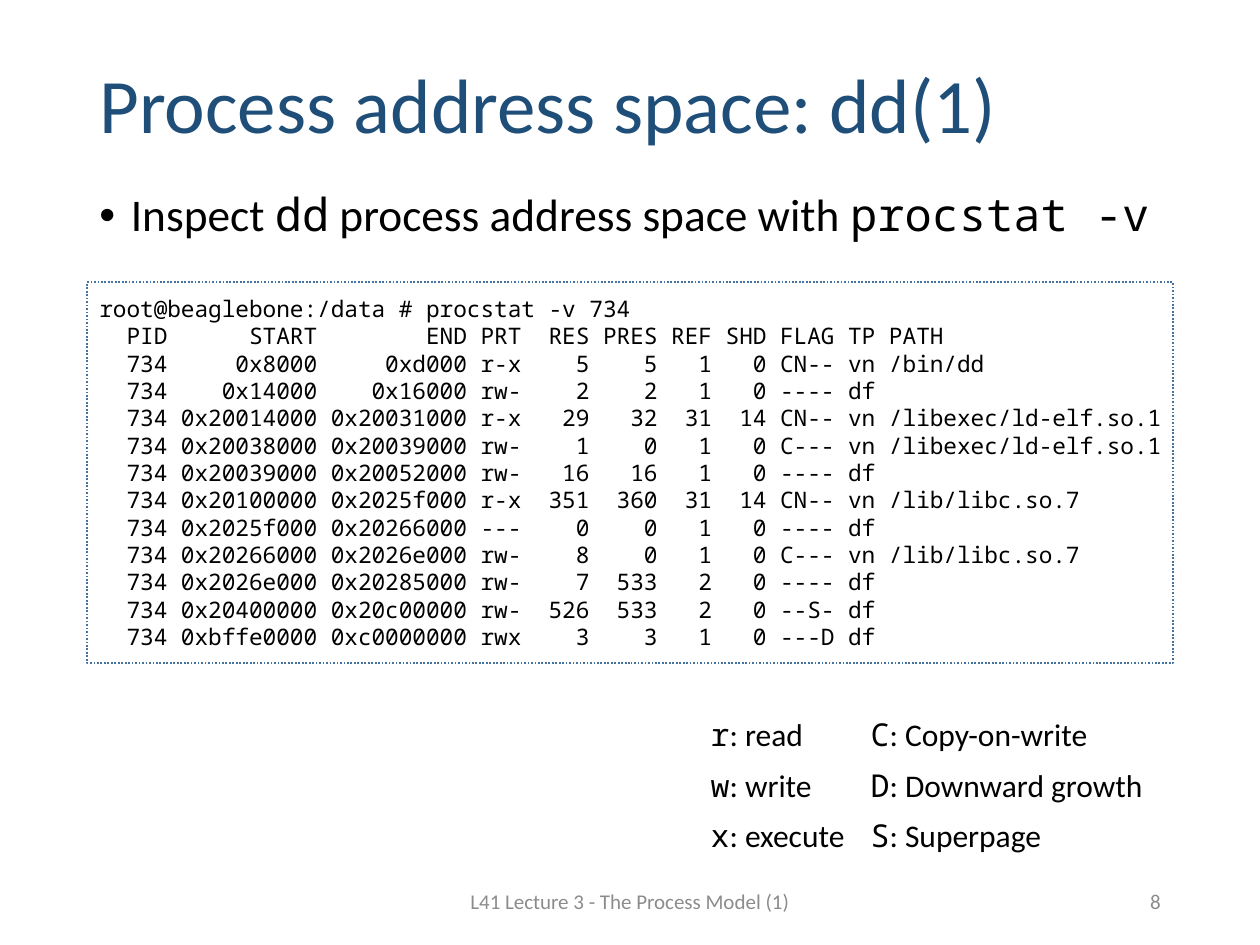
from dataclasses import dataclass

from lxml.etree import SubElement
from pptx import Presentation
from pptx.dml.color import RGBColor
from pptx.enum.dml import MSO_LINE
from pptx.enum.shapes import MSO_SHAPE
from pptx.enum.text import MSO_ANCHOR, PP_ALIGN
from pptx.oxml.ns import qn
from pptx.util import Inches, Pt


@dataclass(frozen=True)
class Theme:
    sans: str = "Calibri"
    mono: str = "Noto Sans Mono"
    ink: str = "000000"
    title: str = "1F4E79"
    edge: str = "43739E"
    muted: str = "8C8C8C"
    title_size: float = 44
    body_size: float = 25.9
    key_size: float = 18
    code_size: float = 13
    foot_size: float = 12


THEME = Theme()
LEFT, WIDTH = 0.69, 8.62

CODE = [
    "root@beaglebone:/data # procstat -v 734",
    "  PID      START        END PRT  RES PRES REF SHD FLAG TP PATH",
    "  734     0x8000     0xd000 r-x    5    5   1   0 CN-- vn /bin/dd",
    "  734    0x14000    0x16000 rw-    2    2   1   0 ---- df",
    "  734 0x20014000 0x20031000 r-x   29   32  31  14 CN-- vn /libexec/ld-elf.so.1",
    "  734 0x20038000 0x20039000 rw-    1    0   1   0 C--- vn /libexec/ld-elf.so.1",
    "  734 0x20039000 0x20052000 rw-   16   16   1   0 ---- df",
    "  734 0x20100000 0x2025f000 r-x  351  360  31  14 CN-- vn /lib/libc.so.7",
    "  734 0x2025f000 0x20266000 ---    0    0   1   0 ---- df",
    "  734 0x20266000 0x2026e000 rw-    8    0   1   0 C--- vn /lib/libc.so.7",
    "  734 0x2026e000 0x20285000 rw-    7  533   2   0 ---- df",
    "  734 0x20400000 0x20c00000 rw-  526  533   2   0 --S- df",
    "  734 0xbffe0000 0xc0000000 rwx    3    3   1   0 ---D df",
]

KEYS = [
    [("r", "read"), ("C", "Copy-on-write")],
    [("w", "write"), ("D", "Downward growth")],
    [("x", "execute"), ("S", "Superpage")],
]


def style(para, size, color=THEME.ink, name=THEME.sans, align=PP_ALIGN.LEFT):
    para.alignment = align
    para.font.size = Pt(size)
    para.font.name = name
    para.font.color.rgb = RGBColor.from_string(color)


def add_runs(para, parts):
    """Add (text, font name) pairs as runs."""
    for text, name in parts:
        run = para.add_run()
        run.text = text
        run.font.name = name


def add_box(slide, x, y, w, h):
    box = slide.shapes.add_textbox(Inches(x), Inches(y), Inches(w), Inches(h))
    box.text_frame.word_wrap = True
    return box.text_frame


def set_title(slide, text):
    title = slide.shapes.title
    title.left, title.top = Inches(LEFT), Inches(0.25)
    title.width, title.height = Inches(WIDTH), Inches(1.23)
    frame = title.text_frame
    frame.text = text
    frame.vertical_anchor = MSO_ANCHOR.MIDDLE
    para = frame.paragraphs[0]
    para.line_spacing = 0.9
    style(para, THEME.title_size, THEME.title)


def add_bullet(slide, parts):
    para = add_box(slide, LEFT, 1.48, WIDTH, 0.57).paragraphs[0]
    props = para._p.get_or_add_pPr()
    props.set("marL", str(Inches(0.25)))
    props.set("indent", str(Inches(-0.25)))
    SubElement(props, qn("a:buFont"), typeface="Arial")
    SubElement(props, qn("a:buChar"), char="•")
    para.line_spacing = 0.9
    style(para, THEME.body_size)
    add_runs(para, parts)


def add_code(slide, lines):
    shape = slide.shapes.add_shape(
        MSO_SHAPE.RECTANGLE, Inches(LEFT), Inches(2.24), Inches(WIDTH), Inches(3.02))
    shape.shadow.inherit = False
    shape.fill.background()
    shape.line.color.rgb = RGBColor.from_string(THEME.edge)
    shape.line.width = Pt(1)
    shape.line.dash_style = MSO_LINE.ROUND_DOT
    frame = shape.text_frame
    frame.word_wrap = False
    frame.vertical_anchor = MSO_ANCHOR.MIDDLE
    frame.text = "\n".join(lines)
    for para in frame.paragraphs:
        style(para, THEME.code_size, name=THEME.mono)


def add_keys(slide, rows):
    """Add the table that explains the flag letters."""
    widths = (1.27, 2.51)
    table = slide.shapes.add_table(
        len(rows), len(widths), Inches(5.54), Inches(5.61),
        Inches(sum(widths)), Inches(0.4 * len(rows))).table
    table.first_row = table.horz_banding = False
    for col, width in zip(table.columns, widths):
        col.width = Inches(width)
    for r, row in enumerate(rows):
        for c, (key, label) in enumerate(row):
            cell = table.cell(r, c)
            cell.fill.background()
            para = cell.text_frame.paragraphs[0]
            style(para, THEME.key_size)
            add_runs(para, [(key, THEME.mono), (f": {label}", THEME.sans)])


def add_foot(slide, text, x, w, align):
    frame = add_box(slide, x, 6.95, w, 0.4)
    frame.vertical_anchor = MSO_ANCHOR.MIDDLE
    frame.text = text
    style(frame.paragraphs[0], THEME.foot_size, THEME.muted, align=align)


def main():
    deck = Presentation()
    deck.slide_width, deck.slide_height = Inches(10), Inches(7.5)
    slide = deck.slides.add_slide(deck.slide_layouts.get_by_name("Title Only"))
    set_title(slide, "Process address space: dd(1)")
    add_bullet(slide, [
        ("Inspect ", THEME.sans), ("dd", THEME.mono),
        (" process address space with ", THEME.sans), ("procstat -v", THEME.mono)])
    add_foot(slide, "L41 Lecture 3 - The Process Model (1)", 3.31, 3.38, PP_ALIGN.CENTER)
    add_foot(slide, "8", 7.06, 2.25, PP_ALIGN.RIGHT)
    add_code(slide, CODE)
    add_keys(slide, KEYS)
    deck.save("out.pptx")


if __name__ == "__main__":
    main()
